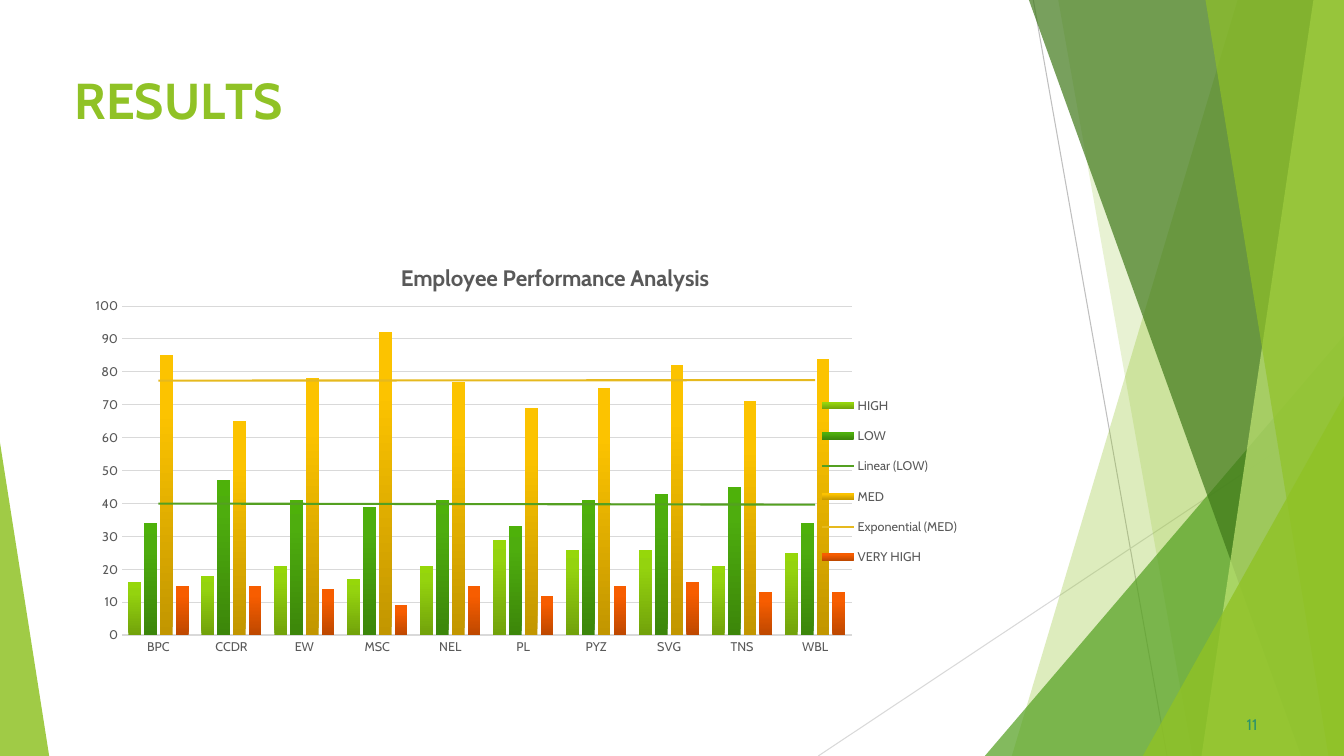
from lxml.etree import SubElement
from pptx import Presentation
from pptx.chart.data import CategoryChartData
from pptx.dml.color import RGBColor
from pptx.enum.chart import XL_CHART_TYPE, XL_LEGEND_POSITION, XL_TICK_MARK
from pptx.enum.shapes import MSO_CONNECTOR, MSO_SHAPE
from pptx.enum.text import MSO_ANCHOR, MSO_AUTO_SIZE, PP_ALIGN
from pptx.oxml import parse_xml
from pptx.oxml.ns import nsdecls, qn
from pptx.util import Cm, Pt

WIDTH, HEIGHT = 33.87, 19.05
FONT = "Cabin"
COLORS = {
    "lime": "90C226", "green": "54A021", "forest": "3F7819", "pale": "C0E474",
    "gold": "E6B91E", "teal": "2D936B", "text": "595959", "grid": "D9D9D9", "rule": "BFBFBF",
}
TITLE_RUNS = [("R", 0), ("E", -0.4), ("S", 0.1), ("U", -0.3), ("L", -4), ("TS", 0)]
PAGE_NUMBER = "11"
CHART_TITLE = "Employee Performance Analysis"
CATEGORIES = ["BPC", "CCDR", "EW", "MSC", "NEL", "PL", "PYZ", "SVG", "TNS", "WBL"]
SERIES = [
    ("HIGH", [16, 18, 21, 17, 21, 29, 26, 26, 21, 25], ("72A20B", "94D30E", "96D70A"), None),
    ("LOW", [34, 47, 41, 39, 41, 33, 41, 43, 45, 34], ("3C860A", "4EAD0E", "4EB10A"), ("linear", "green")),
    ("MED", [85, 65, 78, 92, 77, 69, 75, 82, 71, 84], ("C29600", "FCC300", "FDC400"), ("exp", "gold")),
    ("VERY HIGH", [15, 15, 14, 9, 15, 12, 15, 16, 13, 13], ("BE4800", "F75D00", "F85E00"), None),
]
GRADIENT_STOPS = (0, 80, 100)
RULES = [((26.04, 0), (29.41, HEIGHT), "rule"), ((WIDTH, 10.24), (20.62, HEIGHT), "grid")]
DECORATIONS = [
    ("band", 31.19, 25.5, "lime", 30),
    ("band", 26.67, 30.05, "lime", 20),
    ("right triangle", 24.82, 8.46, "green", 72),
    ("band", 25.93, 32.79, "forest", 70),
    ("band", 33.1, 30.28, "pale", 70),
    ("band", 30.38, 33.48, "lime", 65),
    ("right triangle", 28.8, 9.98, "lime", 80),
    ("left triangle", 1.24, 11.15, "lime", 85),
]


def color(name):
    return RGBColor.from_string(COLORS[name])


def style_font(font, size, name, bold=False):
    font.name, font.size, font.bold = FONT, Pt(size), bold
    font.color.rgb = color(name)


def add_rule(slide, start, end, name):
    rule = slide.shapes.add_connector(MSO_CONNECTOR.STRAIGHT, *map(Cm, start + end))
    rule.line.color.rgb = color(name)
    rule.line.width = Pt(0.75)
    SubElement(rule._element.spPr, qn("a:effectLst"))


def add_band(slide, top_left, bottom_left):
    builder = slide.shapes.build_freeform(Cm(top_left), 0)
    corners = [(WIDTH, 0), (WIDTH, HEIGHT), (bottom_left, HEIGHT)]
    builder.add_line_segments([(Cm(x), Cm(y)) for x, y in corners], close=True)
    return builder.convert_to_shape()


def add_triangle(slide, left, top, width, apex):
    shape = slide.shapes.add_shape(
        MSO_SHAPE.ISOSCELES_TRIANGLE, Cm(left), Cm(top), Cm(width), Cm(HEIGHT - top))
    shape.adjustments[0] = apex
    return shape


def add_decoration(slide, kind, first, second, name, opacity):
    if kind == "band":
        shape = add_band(slide, first, second)
    elif kind == "right triangle":
        shape = add_triangle(slide, first, second, WIDTH - first, 1)
    else:
        shape = add_triangle(slide, 0, second, first, 0)
    shape.shadow.inherit = False
    shape.line.fill.background()
    shape.fill.solid()
    shape.fill.fore_color.rgb = color(name)
    fill_color = shape._element.spPr.find(qn("a:solidFill"))[0]
    SubElement(fill_color, qn("a:alpha")).set("val", str(opacity * 1000))


def prepare_frame(frame):
    frame.margin_left = frame.margin_right = frame.margin_bottom = 0
    frame.margin_top = Cm(0.03)
    frame.word_wrap = True
    frame.auto_size = MSO_AUTO_SIZE.NONE
    frame.vertical_anchor = MSO_ANCHOR.TOP


def add_title(slide):
    title = slide.shapes.title
    title.left, title.top, title.width, title.height = Cm(1.88), Cm(1.7), Cm(23.88), Cm(3.66)
    prepare_frame(title.text_frame)
    paragraph = title.text_frame.paragraphs[0]
    paragraph.alignment = PP_ALIGN.LEFT
    paragraph.space_before = Pt(1.1)
    for text, spacing in TITLE_RUNS:
        run = paragraph.add_run()
        run.text = text
        style_font(run.font, 36, "lime", True)
        run.font._element.set("spc", str(round(spacing * 100)))


def add_page_number(slide):
    box = slide.shapes.add_textbox(Cm(31.32), Cm(17.98), Cm(0.8), Cm(0.53))
    prepare_frame(box.text_frame)
    box.text_frame.margin_left = Cm(0.1)
    box.text_frame.text = PAGE_NUMBER
    paragraph = box.text_frame.paragraphs[0]
    paragraph.space_before = Pt(0.6)
    style_font(paragraph.runs[0].font, 11, "teal")


def place(element, position, x, y, width=None, height=None, inner=False):
    for old in element.findall(qn("c:layout")):
        element.remove(old)
    target = '<c:layoutTarget val="inner"/>' if inner else ""
    values = [("xMode", "edge"), ("yMode", "edge"), ("x", x), ("y", y), ("w", width), ("h", height)]
    parts = "".join(f'<c:{tag} val="{value}"/>' for tag, value in values if value is not None)
    element.insert(position, parse_xml(
        f'<c:layout {nsdecls("c")}><c:manualLayout>{target}{parts}</c:manualLayout></c:layout>'))


def fill_gradient(series, shades):
    series.format.fill.gradient()
    gradient = series._element.spPr.find(qn("a:gradFill"))
    stops = "".join(
        f'<a:gs pos="{stop * 1000}"><a:srgbClr val="{shade}"/></a:gs>'
        for stop, shade in zip(GRADIENT_STOPS, shades))
    gradient.getparent().replace(gradient, parse_xml(
        f'<a:gradFill {nsdecls("a")} rotWithShape="1"><a:gsLst>{stops}</a:gsLst>'
        '<a:lin ang="16200000" scaled="0"/></a:gradFill>'))


def add_trend(series, kind, name):
    series._element.find(qn("c:cat")).addprevious(parse_xml(
        f'<c:trendline {nsdecls("c", "a")}><c:spPr><a:ln w="{Pt(1.5)}"><a:solidFill>'
        f'<a:srgbClr val="{COLORS[name]}"/></a:solidFill></a:ln></c:spPr>'
        f'<c:trendlineType val="{kind}"/><c:dispRSqr val="0"/><c:dispEq val="0"/></c:trendline>'))


def format_axes(chart):
    for axis in (chart.category_axis, chart.value_axis):
        axis.major_tick_mark = axis.minor_tick_mark = XL_TICK_MARK.NONE
        style_font(axis.tick_labels.font, 9, "text")
    chart.category_axis.format.line.color.rgb = color("grid")
    chart.category_axis.format.line.width = Pt(1)
    values = chart.value_axis
    values.minimum_scale, values.maximum_scale, values.major_unit = 0, 100, 10
    values.format.line.fill.background()
    values.major_gridlines.format.line.color.rgb = color("grid")
    values.major_gridlines.format.line.width = Pt(0.75)


def add_performance_chart(slide):
    data = CategoryChartData()
    data.categories = CATEGORIES
    for name, values, _, _ in SERIES:
        data.add_series(name, values)
    chart = slide.shapes.add_chart(
        XL_CHART_TYPE.COLUMN_CLUSTERED, Cm(1.88), Cm(5.99), Cm(23.88), Cm(10.77), data).chart
    chart.font.name, chart.font.size = FONT, Pt(10)
    chart.has_title = True
    chart.chart_title.text_frame.text = CHART_TITLE
    style_font(chart.chart_title.text_frame.paragraphs[0].runs[0].font, 16, "text", True)
    chart.has_legend = True
    chart.legend.position = XL_LEGEND_POSITION.RIGHT
    chart.legend.include_in_layout = False
    style_font(chart.legend.font, 9, "text")
    format_axes(chart)
    plot = chart.plots[0]
    plot.gap_width, plot.overlap, plot.vary_by_categories = 100, -24, False
    for series, (_, _, shades, trend) in zip(plot.series, SERIES):
        fill_gradient(series, shades)
        if trend:
            add_trend(series, *trend)
    place(chart.chart_title._element, 1, 0.34, 0.05)
    place(chart.legend._element, 1, 0.78, 0.34, 0.16, 0.46)
    place(chart._chartSpace.chart.plotArea, 0, 0.05, 0.16, 0.77, 0.77, inner=True)


def main():
    presentation = Presentation()
    presentation.slide_width, presentation.slide_height = Cm(WIDTH), Cm(HEIGHT)
    slide = presentation.slides.add_slide(presentation.slide_layouts[5])
    for rule in RULES:
        add_rule(slide, *rule)
    for decoration in DECORATIONS:
        add_decoration(slide, *decoration)
    add_title(slide)
    add_page_number(slide)
    add_performance_chart(slide)
    presentation.save("out.pptx")


if __name__ == "__main__":
    main()
